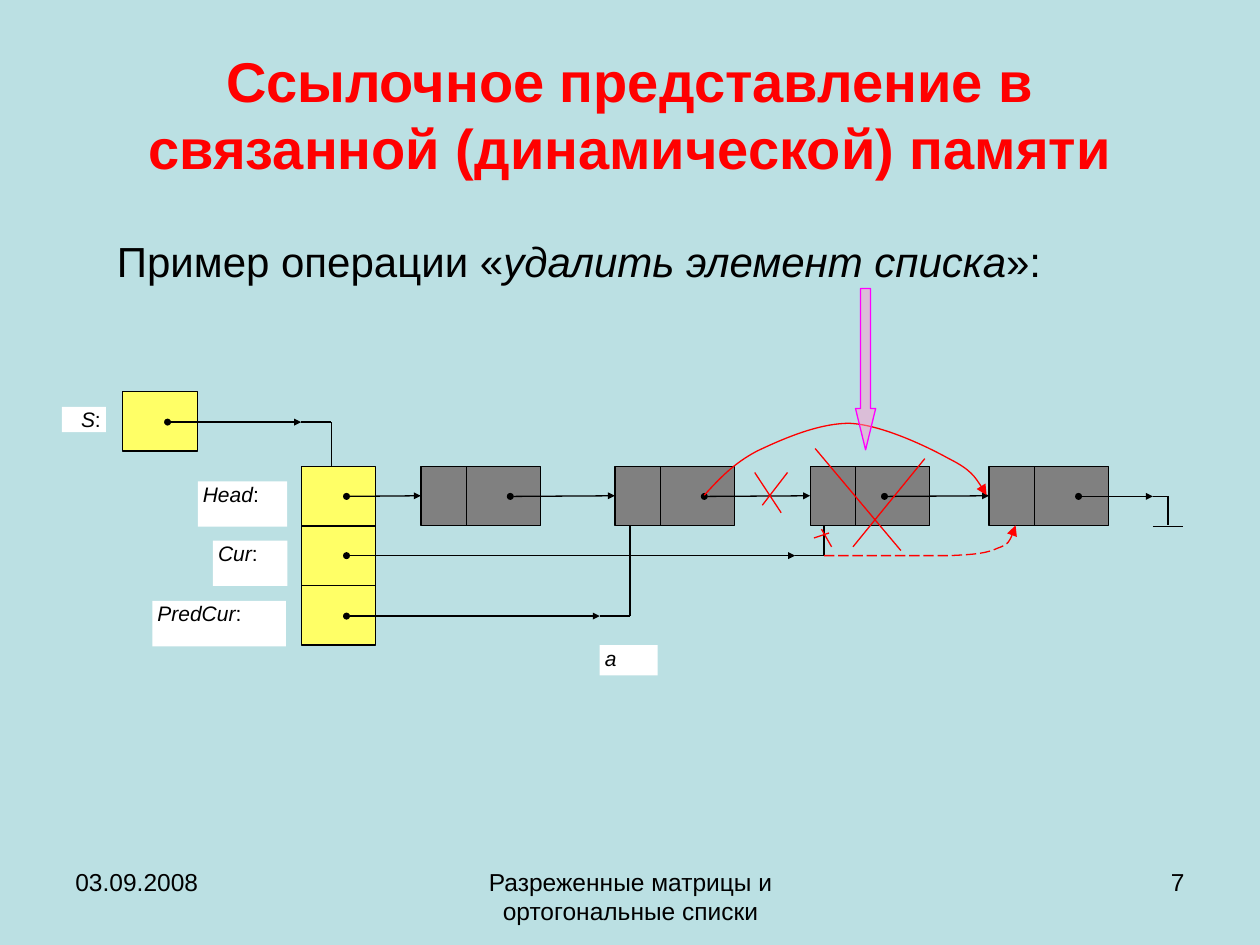
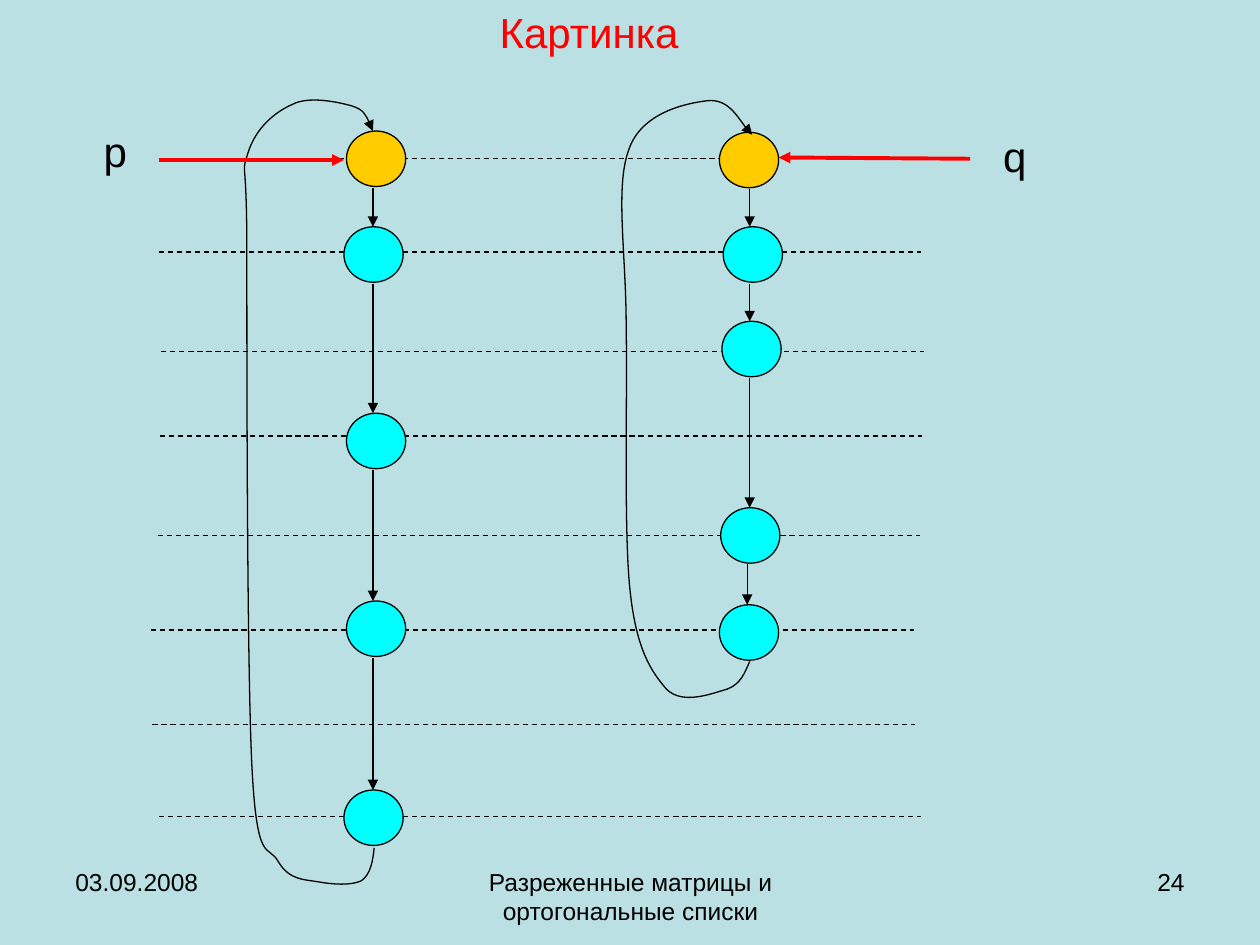
"""Two slides on linked lists: deleting an element, and a sparse matrix by columns."""
from lxml import etree
from pptx import Presentation
from pptx.dml.color import RGBColor
from pptx.enum.dml import MSO_LINE
from pptx.enum.shapes import MSO_CONNECTOR, MSO_SHAPE
from pptx.enum.text import MSO_ANCHOR, PP_ALIGN
from pptx.oxml.ns import qn
from pptx.util import Inches, Pt

COLORS = {
    "bg": "BBE0E3", "red": "FF0000", "black": "000000", "white": "FFFFFF",
    "yellow": "FFFF66", "gray": "808080", "gold": "FFCC00", "cyan": "00FFFF",
    "pink": "FF99CC", "magenta": "FF00FF",
}
RGB = {name: RGBColor.from_string(value) for name, value in COLORS.items()}


def add_path(s, points, color="black", width=0.75, dash=None, head=None, tail=None, size="med"):
    if len(points) == 2:
        ends = [Inches(v) for point in points for v in point]
        sp = s.shapes.add_connector(MSO_CONNECTOR.STRAIGHT, *ends)
        etree.SubElement(sp._element.spPr, qn("a:effectLst"))
    else:
        hundredths = [(round(x * 100), round(y * 100)) for x, y in points]
        builder = s.shapes.build_freeform(*hundredths[0], scale=Inches(0.01))
        builder.add_line_segments(hundredths[1:], close=False)
        sp = builder.convert_to_shape()
        sp.shadow.inherit = False
        sp.fill.background()
        path = next(sp._element.iter(qn("a:path")))
        steps = path.findall(qn("a:lnTo"))
        for i in range(0, len(steps), 3):
            curve = etree.SubElement(path, qn("a:cubicBezTo"))
            for step in steps[i:i + 3]:
                curve.append(step[0])
                path.remove(step)
    sp.line.color.rgb = RGB[color]
    sp.line.width = Pt(width)
    if dash:
        sp.line.dash_style = dash
    for tag, kind in (("a:headEnd", head), ("a:tailEnd", tail)):
        if kind:
            etree.SubElement(sp.line._get_or_add_ln(), qn(tag), type=kind, w=size, len=size)
    return sp


def add_text(s, box, runs, size, color="black", align=PP_ALIGN.LEFT,
             anchor=MSO_ANCHOR.TOP, bold=False, label=False):
    sp = s.shapes.add_textbox(*[Inches(v) for v in box])
    tf = sp.text_frame
    tf.word_wrap = True
    tf.vertical_anchor = anchor
    if label:
        sp.fill.solid()
        sp.fill.fore_color.rgb = RGB["white"]
        tf.margin_left = tf.margin_right = Inches(0.04)
        tf.margin_top = tf.margin_bottom = 0
    p = tf.paragraphs[0]
    p.alignment = align
    for text, italic in runs:
        r = p.add_run()
        r.text = text
        r.font.name = "Arial"
        r.font.size = Pt(size)
        r.font.bold = bold
        r.font.italic = italic
        r.font.color.rgb = RGB[color]


prs = Presentation()
prs.slide_width, prs.slide_height = Inches(10), Inches(7.5)
prs.slide_master.background.fill.solid()
prs.slide_master.background.fill.fore_color.rgb = RGB["bg"]

list_slide, matrix_slide = [prs.slides.add_slide(prs.slide_layouts[6]) for _ in range(2)]
for s, number in ((list_slide, "7"), (matrix_slide, "24")):
    for left, width, text, align in (
        (0.5, 2.33, "03.09.2008", PP_ALIGN.LEFT),
        (3.42, 3.17, "Разреженные матрицы и ортогональные списки", PP_ALIGN.CENTER),
        (7.17, 2.33, number, PP_ALIGN.RIGHT),
    ):
        add_text(s, (left, 6.83, width, 0.52), [(text, False)], 14, align=align)

s = list_slide
add_text(s, (0.5, 0.3, 9, 1.2),
         [("Ссылочное представление в связанной (динамической) памяти", False)],
         32, "red", PP_ALIGN.CENTER, MSO_ANCHOR.MIDDLE, bold=True)

CELL_H = 0.47
NODE_TOP, NODE_MID, NODE_BOTTOM = 3.7, 3.94, 4.17
NODE_LEFTS = (3.34, 4.88, 6.43, 7.85)
cells = [(0.97, 3.11, 0.6, "yellow")]
cells += [(2.39, NODE_TOP + i * 0.475, 0.59, "yellow") for i in range(3)]
cells += [(left, NODE_TOP, 0.95, "gray") for left in NODE_LEFTS]
nodes = []
for left, top, width, color in cells:
    sp = s.shapes.add_shape(MSO_SHAPE.RECTANGLE, Inches(left), Inches(top),
                            Inches(width), Inches(CELL_H))
    sp.shadow.inherit = False
    sp.fill.solid()
    sp.fill.fore_color.rgb = RGB[color]
    sp.line.color.rgb = RGB["black"]
    sp.line.width = Pt(0.75)
    if color == "gray":
        nodes.append(sp)

for left in NODE_LEFTS:
    add_path(s, [(left + 0.36, NODE_TOP), (left + 0.36, NODE_BOTTOM)])

for start, left, node in zip((2.75, 4.05, 5.59, 7.02), NODE_LEFTS, nodes):
    link = add_path(s, [(start, NODE_MID), (left, NODE_MID)],
                    head="oval", tail="triangle", size="sm")
    link.end_connect(node, 1)

for x1, x2, y in ((1.33, 2.39, 3.35), (2.75, 6.31, 4.41), (2.75, 4.76, 4.89),
                  (8.56, 9.15, NODE_MID)):
    add_path(s, [(x1, y), (x2, y)], head="oval", tail="triangle", size="sm")

for x1, x2, y, y_end in ((2.39, 2.63, 3.35, NODE_TOP), (6.31, 6.54, 4.41, NODE_BOTTOM),
                         (4.76, 5, 4.89, NODE_BOTTOM), (9.15, 9.27, NODE_MID, NODE_BOTTOM)):
    add_path(s, [(x1, y), (x2, y)])
    add_path(s, [(x2, y), (x2, y_end)])
add_path(s, [(9.15, 4.18), (9.39, 4.18)])

for box, name, mark, align in (
    ((4.76, 5.12, 0.46, 0.24), "а", "", PP_ALIGN.LEFT),
    ((0.49, 3.23, 0.35, 0.2), "S", ":", PP_ALIGN.RIGHT),
    ((1.57, 3.82, 0.71, 0.36), "Head", ":", PP_ALIGN.LEFT),
    ((1.69, 4.29, 0.59, 0.36), "Cur", ":", PP_ALIGN.LEFT),
    ((1.21, 4.77, 1.06, 0.36), "PredCur", ":", PP_ALIGN.LEFT),
):
    runs = [(name, True)] + ([(mark, False)] if mark else [])
    add_text(s, box, runs, 12, align=align, label=True)

add_text(s, (0.83, 1.82, 7.64, 0.5),
         [("Пример операции «", False), ("удалить элемент списка", True), ("»:", False)], 24)

for cross_stroke in (
    [(7.34, 3.64), (6.77, 4.34)], [(6.47, 3.56), (7.15, 4.37)],
    [(6.25, 3.75), (6.05, 4.01)], [(5.99, 3.75), (6.2, 4.07)],
    [(6.58, 4.23), (6.46, 4.27)], [(6.52, 4.2), (6.6, 4.34)],
):
    add_path(s, cross_stroke, "red")
add_path(s, [(5.59, 3.93), (5.71, 3.8), (5.82, 3.68), (6.01, 3.58),
             (6.2, 3.49), (6.49, 3.36), (6.74, 3.36),
             (6.99, 3.37), (7.35, 3.54), (7.53, 3.64),
             (7.71, 3.73), (7.77, 3.83), (7.83, 3.93)], "red", tail="triangle")
add_path(s, [(6.54, 4.41), (6.92, 4.41), (7.3, 4.41), (7.53, 4.41),
             (7.76, 4.4), (7.83, 4.39), (7.92, 4.35),
             (8.01, 4.32), (8.04, 4.24), (8.06, 4.17)],
         "red", dash=MSO_LINE.LONG_DASH, tail="triangle")

sp = s.shapes.add_shape(MSO_SHAPE.DOWN_ARROW, Inches(6.79), Inches(2.29),
                        Inches(0.16), Inches(1.28))
sp.adjustments[0], sp.adjustments[1] = 0.5, 2.05
sp.shadow.inherit = False
sp.fill.solid()
sp.fill.fore_color.rgb = RGB["pink"]
fill_color = sp._element.spPr.find(qn("a:solidFill"))[0]
etree.SubElement(fill_color, qn("a:alpha"), val="47000")
sp.line.color.rgb = RGB["magenta"]
sp.line.width = Pt(0.75)

s = matrix_slide
for left, y in ((1.26, 1.26), (1.26, 2), (1.28, 2.79), (1.27, 3.46),
                (1.25, 4.25), (1.2, 5), (1.21, 5.75), (1.26, 6.48)):
    add_path(s, [(left, y), (left + 6.05, y)], dash=MSO_LINE.DASH)

add_text(s, (3.45, 0, 2.45, 0.5), [("Картинка", False)], 24, "red", PP_ALIGN.CENTER)

columns = (
    [(2.75, 1.04), (2.73, 1.8), (2.75, 3.28), (2.75, 4.77), (2.73, 6.27)],
    [(5.71, 1.05), (5.74, 1.8), (5.73, 2.55), (5.72, 4.03), (5.71, 4.8)],
)
for column, link_xs in zip(columns, ([2.96] * 4, [5.95, 5.95, 5.95, 5.93])):
    for i, (left, top) in enumerate(column):
        sp = s.shapes.add_shape(MSO_SHAPE.OVAL, Inches(left), Inches(top),
                                Inches(0.47), Inches(0.44))
        sp.shadow.inherit = False
        sp.fill.solid()
        sp.fill.fore_color.rgb = RGB["cyan" if i else "gold"]
        sp.line.color.rgb = RGB["black"]
        sp.line.width = Pt(0.75)
    for x, (_, upper), (_, lower) in zip(link_xs, column, column[1:]):
        add_path(s, [(x, upper + 0.45), (x, lower)], tail="triangle")

add_path(s, [(5.95, 5.25), (5.91, 5.34), (5.88, 5.43), (5.77, 5.47),
             (5.66, 5.5), (5.42, 5.6), (5.29, 5.47),
             (5.17, 5.33), (5.05, 5.16), (5, 4.68),
             (4.95, 4.2), (4.98, 3.17), (4.97, 2.59),
             (4.97, 2.01), (4.88, 1.49), (4.99, 1.19),
             (5.09, 0.89), (5.45, 0.82), (5.61, 0.8),
             (5.78, 0.78), (5.91, 1.02), (5.97, 1.07)], tail="triangle")
add_path(s, [(2.97, 6.73), (2.96, 6.84), (2.94, 6.94), (2.87, 6.99),
             (2.79, 7.03), (2.64, 7.02), (2.53, 7),
             (2.42, 6.98), (2.3, 6.99), (2.21, 6.84),
             (2.13, 6.69), (2.04, 6.89), (2, 6.08),
             (1.96, 5.27), (1.96, 2.8), (1.96, 1.99),
             (1.96, 1.18), (1.91, 1.41), (1.97, 1.21),
             (2.03, 1.02), (2.18, 0.89), (2.32, 0.83),
             (2.45, 0.76), (2.68, 0.81), (2.79, 0.84),
             (2.89, 0.87), (2.93, 0.96), (2.96, 1.04)], tail="triangle")

for name, box, pointer in (
    ("p", (0.59, 0.95, 0.65, 0.5), [(1.26, 1.27), (2.73, 1.27)]),
    ("q", (7.69, 0.99, 0.73, 0.5), [(7.7, 1.26), (6.18, 1.25)]),
):
    add_path(s, pointer, "red", 2.25, tail="triangle")
    add_text(s, box, [(name, False)], 24, align=PP_ALIGN.CENTER)

prs.save("out.pptx")
